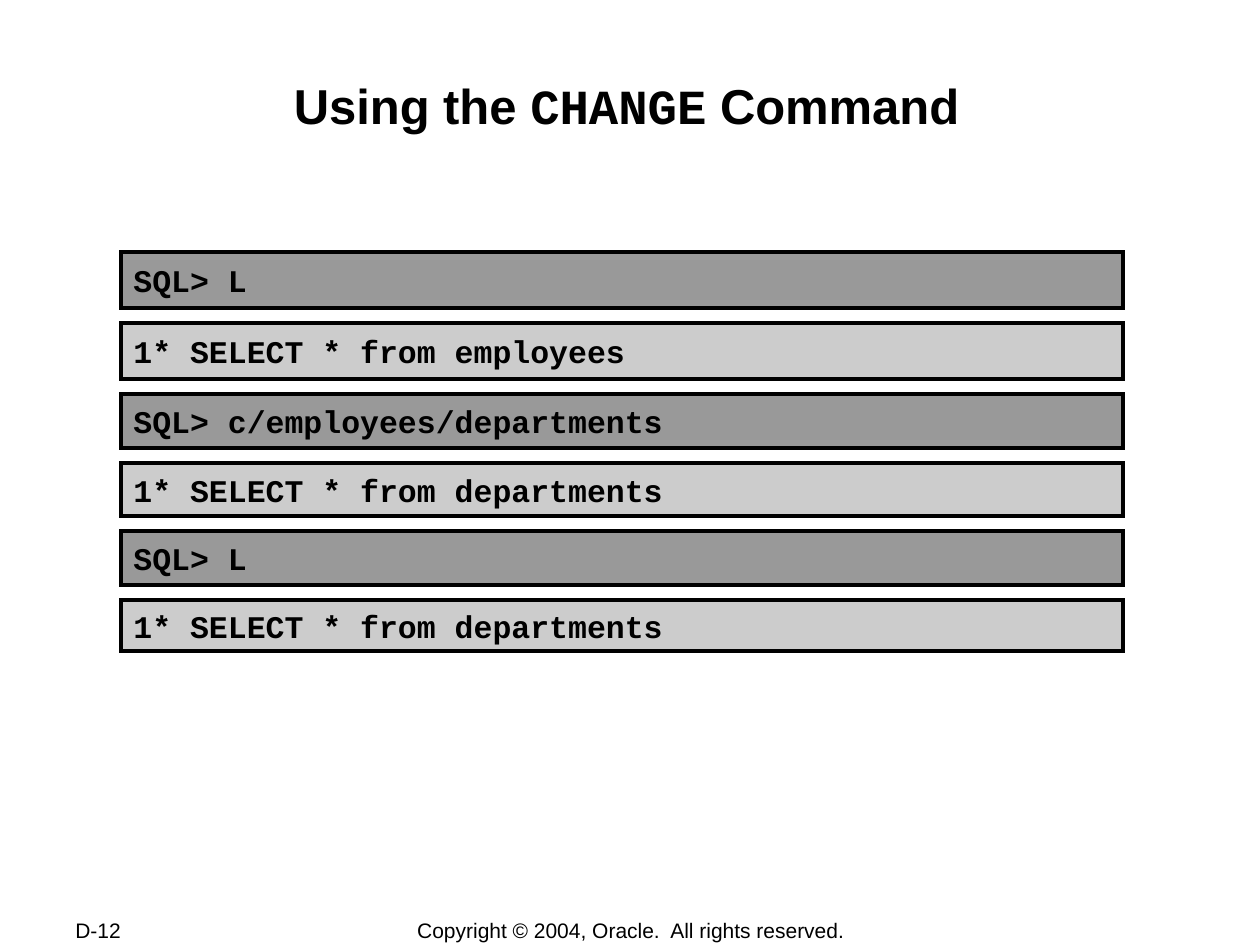
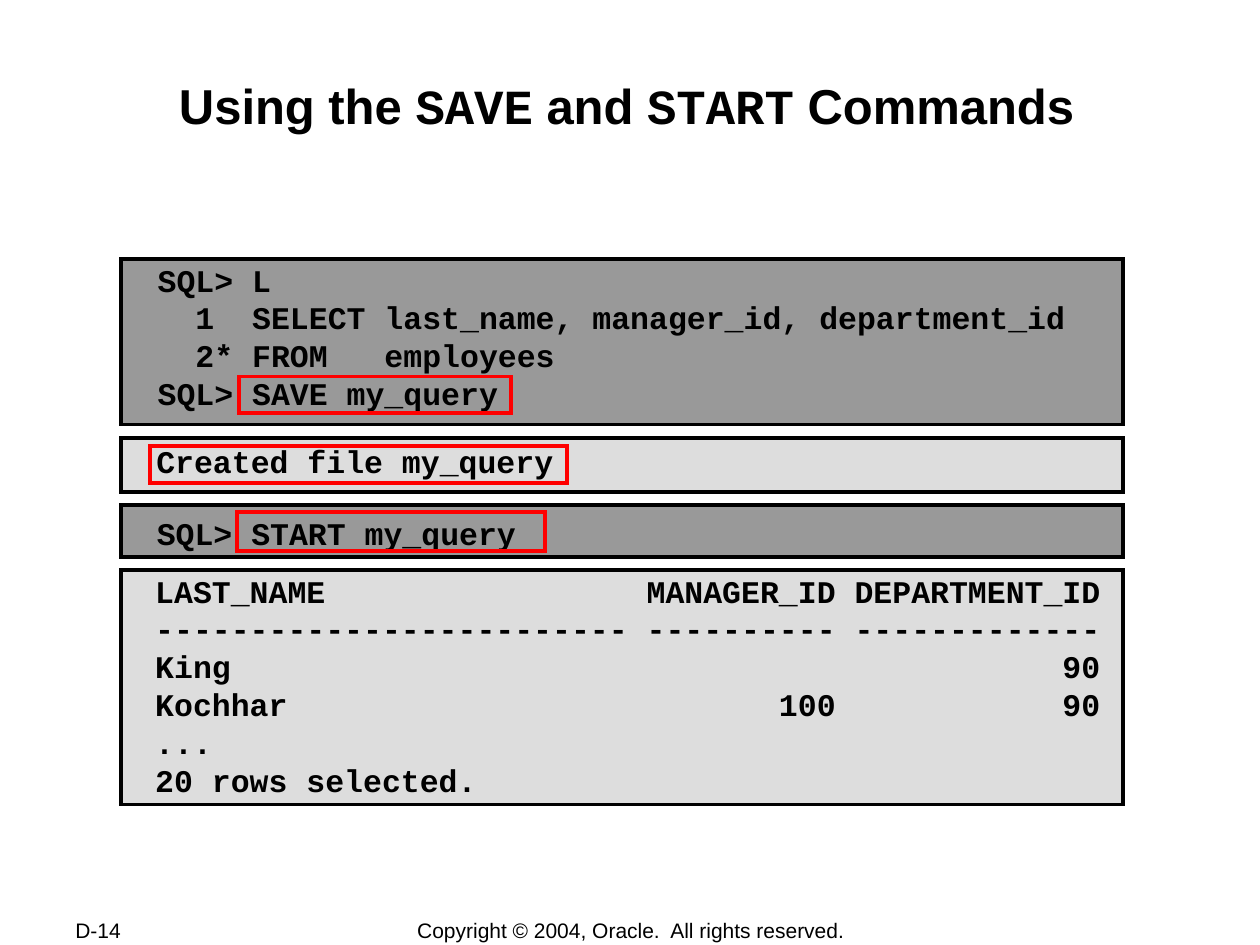
import lxml.etree
import pptx
import pptx.dml.color
import pptx.enum.shapes
import pptx.enum.text
import pptx.oxml.ns
import pptx.util

Cm = pptx.util.Cm
Pt = pptx.util.Pt
RGBColor = pptx.dml.color.RGBColor
ALIGN = pptx.enum.text.PP_ALIGN
ANCHOR = pptx.enum.text.MSO_ANCHOR
AUTO_SIZE = pptx.enum.text.MSO_AUTO_SIZE
RECT = pptx.enum.shapes.MSO_SHAPE.RECTANGLE

BLACK = RGBColor(0x00, 0x00, 0x00)
RED = RGBColor(0xFF, 0x00, 0x00)
INPUT_GRAY = RGBColor(0x99, 0x99, 0x99)
RESULT_GRAY = RGBColor(0xCC, 0xCC, 0xCC)
OUTPUT_GRAY = RGBColor(0xDD, 0xDD, 0xDD)

CODE_SIZE = 18
TITLE_FONT = {"name": "Arial", "size": Pt(28), "bold": True}
TITLE_CODE_FONT = {**TITLE_FONT, "name": "Courier New"}
CODE_FONT = {"name": "Courier New", "size": Pt(CODE_SIZE), "bold": True}
FOOTER_FONT = {"name": "Arial", "size": Pt(12), "bold": False}

TITLE_BOX = (2.47, 1.49, 20.32, 2.44)
TITLE_FRAME = {
    "margin_left": Cm(0.03), "margin_right": Cm(0.03),
    "margin_top": Cm(0.03), "margin_bottom": Cm(0.03),
    "vertical_anchor": ANCHOR.TOP, "word_wrap": True,
    "auto_size": AUTO_SIZE.NONE,
}
PANEL_FRAME = {"vertical_anchor": ANCHOR.MIDDLE, "word_wrap": True}
CODE_FRAME = {"vertical_anchor": ANCHOR.TOP, "word_wrap": False,
              "auto_size": AUTO_SIZE.SHAPE_TO_FIT_TEXT}
FOOTER_FRAME = {"vertical_anchor": ANCHOR.MIDDLE, "word_wrap": False}

PAGE_BOX = (1.27, 18.49, 2.69, 0.51)
COPYRIGHT_BOX = (7.02, 18.49, 11.4, 0.53)
COPYRIGHT = "Copyright © 2004, Oracle.  All rights reserved."

PANEL_LEFT, PANEL_WIDTH = 2.44, 20.2
CHAR_WIDTH = 0.6 * CODE_SIZE * 2.54 / 72
LINE_HEIGHT = 0.76
INSET_X, INSET_Y = 0.26, 0.13

CHANGE_TOP, CHANGE_GAP = 5.08, 0.3
CHANGE_ROWS = [
    ("SQL> L", 1.13),
    ("1* SELECT * from employees", 1.14),
    ("SQL> c/employees/departments", 1.09),
    ("1* SELECT * from departments", 1.06),
    ("SQL> L", 1.09),
    ("1* SELECT * from departments", 1.04),
]

SAVE_TOP, SAVE_GAP = 5.23, 0.27
SAVE_PANELS = [
    {"height": 3.33, "fill": INPUT_GRAY, "offset": (0.49, -0.1),
     "mark": (2.38, 2.36, 5.49, 0.74),
     "lines": ["SQL> L",
               "  1  SELECT last_name, manager_id, department_id",
               "  2* FROM   employees",
               "SQL> SAVE my_query"]},
    {"height": 1.09, "fill": OUTPUT_GRAY, "offset": (0.46, -0.04),
     "mark": (0.58, 0.16, 8.41, 0.74),
     "lines": ["Created file my_query"]},
    {"height": 1.04, "fill": INPUT_GRAY, "offset": (0.47, 0.05),
     "mark": (2.33, 0.13, 6.22, 0.79),
     "lines": ["SQL> START my_query"]},
    {"height": 4.72, "fill": OUTPUT_GRAY, "offset": (0.44, -0.1),
     "mark": None,
     "lines": ["LAST_NAME                 MANAGER_ID DEPARTMENT_ID",
               "------------------------- ---------- -------------",
               "King                                            90",
               "Kochhar                          100            90",
               "...",
               "20 rows selected."]},
]


def set_attrs(obj, values):
    for name, value in values.items():
        setattr(obj, name, value)


def add_run(p, text, font):
    r = p.add_run()
    r.text = text
    set_attrs(r.font, font)
    r.font.color.rgb = BLACK


def write_lines(sp, lines, frame, font, align=ALIGN.LEFT):
    tf = sp.text_frame
    set_attrs(tf, frame)
    for i, line in enumerate(lines):
        p = tf.paragraphs[0] if i == 0 else tf.add_paragraph()
        p.alignment = align
        add_run(p, line, font)


def add_rect(slide, box, fill, line):
    sp = slide.shapes.add_shape(RECT, *map(Cm, box))
    sp.shadow.inherit = False
    if fill is None:
        sp.fill.background()
    else:
        sp.fill.solid()
        sp.fill.fore_color.rgb = fill
    sp.line.color.rgb = line
    sp.line.width = Pt(2.25)
    qn = pptx.oxml.ns.qn
    ln = sp.element.spPr.find(qn("a:ln"))
    lxml.etree.SubElement(ln, qn("a:miter"), lim="800000")
    return sp


def add_text(slide, box, lines, frame, font, align=ALIGN.LEFT):
    sp = slide.shapes.add_textbox(*map(Cm, box))
    write_lines(sp, lines, frame, font, align)


def set_title_layout(layout):
    sp = layout.placeholders[0]
    sp.left, sp.top, sp.width, sp.height = map(Cm, TITLE_BOX)


def add_title(slide, parts):
    tf = slide.shapes.title.text_frame
    set_attrs(tf, TITLE_FRAME)
    p = tf.paragraphs[0]
    p.alignment = ALIGN.CENTER
    for i, part in enumerate(parts):
        add_run(p, part, TITLE_CODE_FONT if i % 2 else TITLE_FONT)


def add_footer(slide, page):
    add_text(slide, PAGE_BOX, [page], FOOTER_FRAME, FOOTER_FONT)
    add_text(slide, COPYRIGHT_BOX, [COPYRIGHT], FOOTER_FRAME, FOOTER_FONT,
             ALIGN.CENTER)


def add_page(prs, title_parts, page):
    slide = prs.slides.add_slide(prs.slide_layouts[5])
    add_title(slide, title_parts)
    add_footer(slide, page)
    return slide


def add_command_rows(slide, left, top, width):
    for i, (text, height) in enumerate(CHANGE_ROWS):
        fill = RESULT_GRAY if i % 2 else INPUT_GRAY
        sp = add_rect(slide, (left, top, width, height), fill, BLACK)
        write_lines(sp, [text], PANEL_FRAME, CODE_FONT)
        top += height + CHANGE_GAP


def add_code_panel(slide, box, panel):
    left, top = box[:2]
    add_rect(slide, box, panel["fill"], BLACK)
    lines = panel["lines"]
    dx, dy = panel["offset"]
    width = max(map(len, lines)) * CHAR_WIDTH + 2 * INSET_X
    height = len(lines) * LINE_HEIGHT + 2 * INSET_Y
    add_text(slide, (left + dx, top + dy, width, height), lines,
             CODE_FRAME, CODE_FONT)
    if panel["mark"]:
        dx, dy, width, height = panel["mark"]
        add_rect(slide, (left + dx, top + dy, width, height), None, RED)


def add_session(slide, left, top, width):
    for panel in SAVE_PANELS:
        add_code_panel(slide, (left, top, width, panel["height"]), panel)
        top += panel["height"] + SAVE_GAP


def main():
    prs = pptx.Presentation()
    prs.slide_width, prs.slide_height = Cm(25.4), Cm(19.05)
    set_title_layout(prs.slide_layouts[5])

    slide = add_page(prs, ["Using the ", "CHANGE", " Command"], "D-12")
    add_command_rows(slide, PANEL_LEFT, CHANGE_TOP, PANEL_WIDTH)

    slide = add_page(
        prs, ["Using the ", "SAVE", " and ", "START", " Commands"], "D-14")
    add_session(slide, PANEL_LEFT, SAVE_TOP, PANEL_WIDTH)

    prs.save("out.pptx")


if __name__ == "__main__":
    main()
